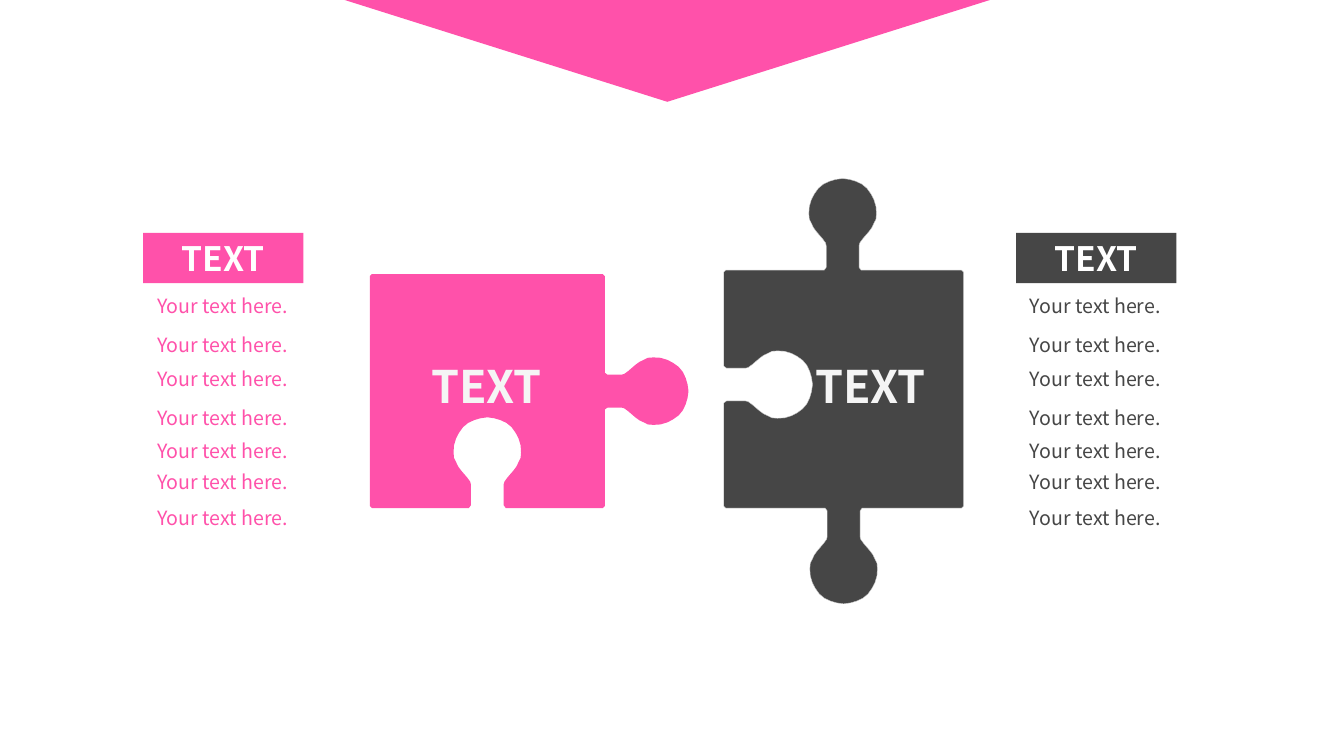
"""Build a slide with two puzzle pieces and a text column on either side."""
from pptx import Presentation, util as u
from pptx.dml.color import RGBColor
from pptx.enum import shapes, text

Pt = u.Pt
THEME = {
    "font": "Noto Sans CJK SC",
    "pink": RGBColor.from_string("FF51AA"),
    "dark": RGBColor.from_string("464646"),
    "edge": RGBColor.from_string("CFCFCF"),
    "white": RGBColor.from_string("FFFFFF"),
    "pale": RGBColor.from_string("F5F5F5"),
    "body": Pt(14),
    "heading": Pt(24),
    "label": Pt(32),
}


def write(sp, content, *, size, color, bold=False, align=None,
          anchor=text.MSO_ANCHOR.TOP, grow=True):
    tf = sp.text_frame
    tf.word_wrap = True
    tf.vertical_anchor = anchor
    tf.auto_size = text.MSO_AUTO_SIZE.SHAPE_TO_FIT_TEXT if grow else text.MSO_AUTO_SIZE.NONE
    p = tf.paragraphs[0]
    p.alignment = align
    r = p.add_run()
    r.text = content
    r.font.name = THEME["font"]
    r.font.size = THEME[size]
    r.font.color.rgb = THEME[color]
    r.font.bold = bold


def paint(sp, color):
    sp.shadow.inherit = False
    sp.fill.solid()
    sp.fill.fore_color.rgb = THEME[color]
    sp.line.fill.background()


prs = Presentation()
prs.slide_width, prs.slide_height = Pt(960), Pt(540)
s = prs.slides.add_slide(prs.slide_layouts[6])

# Each knob is (distance along the side, reach); a negative reach cuts a socket.
PIECES = [
    ("dark", (517, 193, 688.3, 362.9),
     {"top": (84.9, 65.5), "bottom": (85.7, 68.4), "left": (88.2, -63.4)}),
    ("pink", (264.2, 195.8, 432, 362.9),
     {"right": (83.6, 59.8), "bottom": (83.9, -64.8)}),
]
HEAD = [(11.7, 48), (12.2, 46), (14.4, 43), (18.7, 38), (20.9, 35), (22.3, 32),
        (23.8, 29), (24.1, 25), (23.8, 20), (22.3, 15), (20.2, 11), (17.3, 7),
        (13.7, 4), (9.4, 2), (5, 0.7), (0, 0)]
CORNER = 1.4

for color, (left, top, right, bottom), knobs in PIECES:
    sides = [
        ("top", left, top, 1, 0, right - left),
        ("right", right, top, 0, 1, bottom - top),
        ("bottom", right, bottom, -1, 0, right - left),
        ("left", left, bottom, 0, -1, bottom - top),
    ]
    outline = []
    for side, x, y, dx, dy, length in sides:
        steps = [(CORNER, 0)]
        if side in knobs:
            middle, reach = knobs[side]
            sign = 1 if reach > 0 else -1
            half = [(13.2, 0), (11.7, 2 * sign)]
            half += [(width, reach - sign * drop) for width, drop in HEAD]
            steps += [(middle - width, out) for width, out in half]
            steps += [(middle + width, out) for width, out in reversed(half[:-1])]
        steps.append((length - CORNER, 0))
        outline += [(Pt(x + along * dx + out * dy), Pt(y + along * dy - out * dx))
                    for along, out in steps]
    builder = s.shapes.build_freeform(*outline[0], scale=1.0)
    builder.add_line_segments(outline[1:], close=True)
    piece = builder.convert_to_shape()
    paint(piece, color)
    if color == "dark":
        piece.line.color.rgb = THEME["edge"]
        piece.line.width = Pt(0.25)

banner = s.shapes.add_shape(shapes.MSO_SHAPE.ISOSCELES_TRIANGLE,
                            Pt(246.24), 0, Pt(460.8), Pt(72.72))
banner.rotation = 180
paint(banner, "pink")

for x in (300.96, 575.28):
    label = s.shapes.add_textbox(Pt(x), Pt(252.72), Pt(97.2), Pt(46.08))
    write(label, "TEXT", size="label", color="pale", bold=True)

ROW_TOPS = (206.64, 234, 258.48, 286.56, 310.32, 331.92, 357.84)
for color, x in (("pink", 102.24), ("dark", 725.76)):
    column = s.shapes.add_group_shape()
    heading = column.shapes.add_shape(shapes.MSO_SHAPE.RECTANGLE,
                                      Pt(x), Pt(166.32), Pt(114.48), Pt(36))
    paint(heading, color)
    write(heading, "TEXT", size="heading", color="white", bold=True, grow=False,
          align=text.PP_ALIGN.CENTER, anchor=text.MSO_ANCHOR.MIDDLE)
    for y in ROW_TOPS:
        row = column.shapes.add_textbox(Pt(x + 2.88), Pt(y), Pt(118.08), Pt(24.48))
        write(row, "Your text here.", size="body", color=color)

prs.save("out.pptx")
